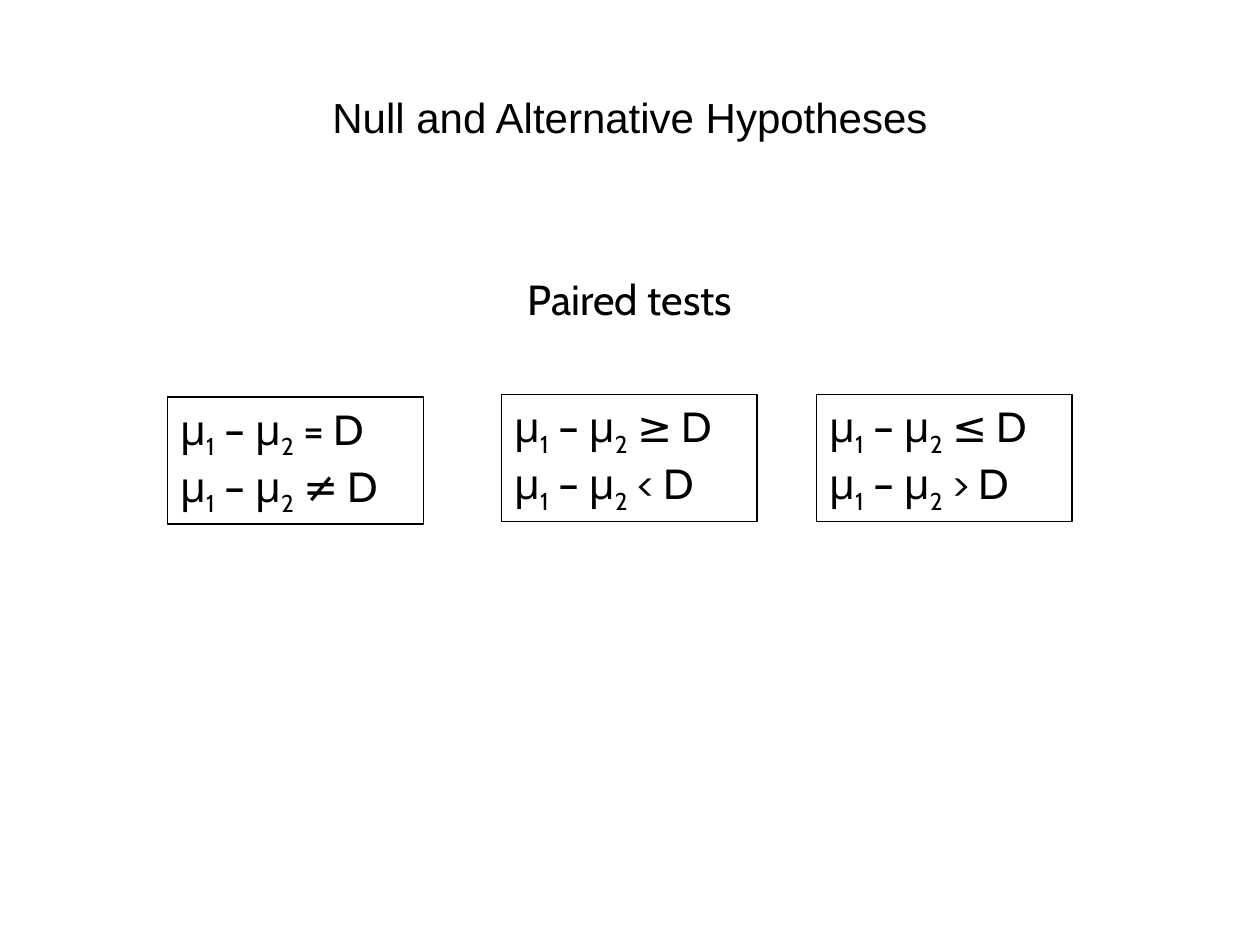
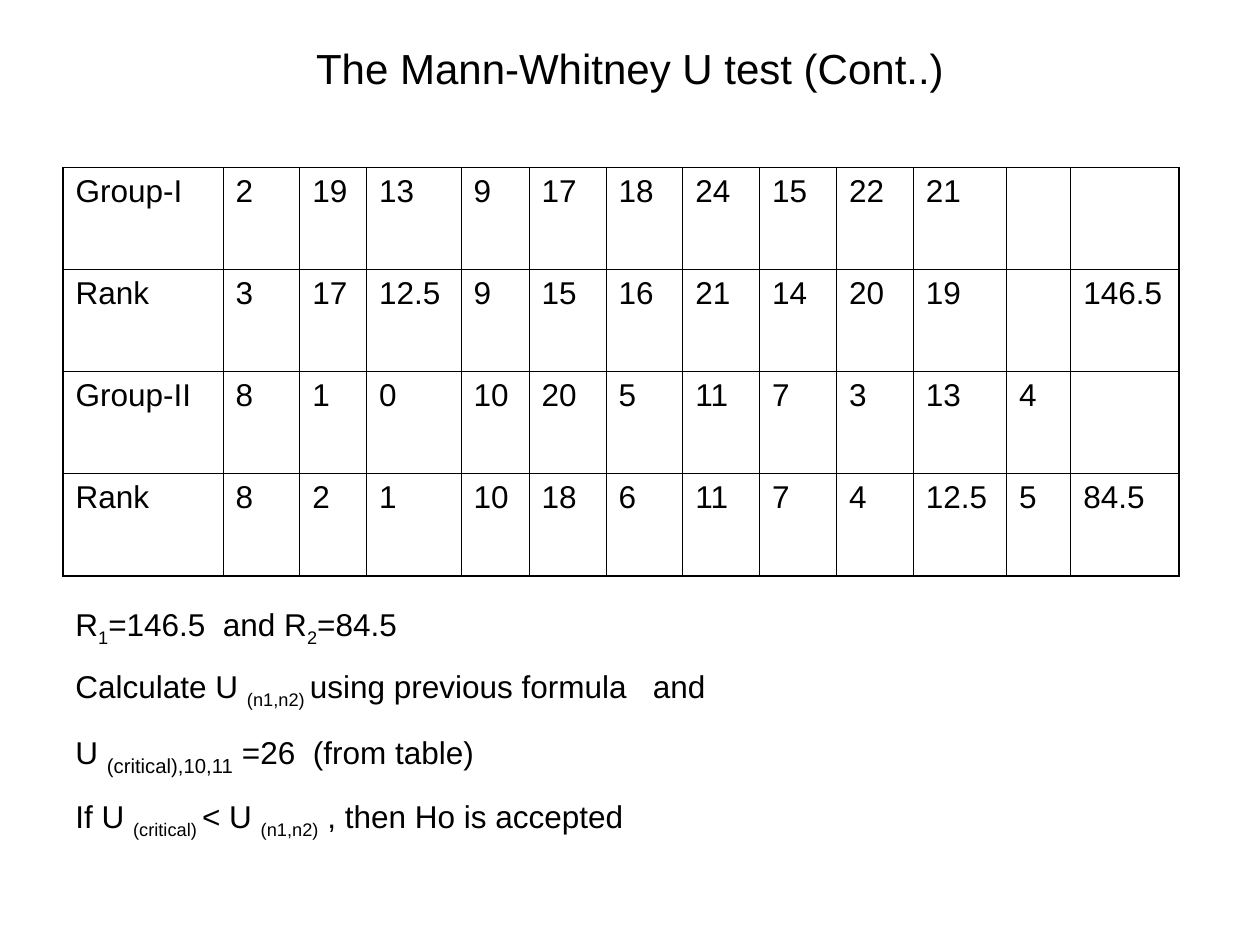
from dataclasses import dataclass

from lxml import etree
from pptx import Presentation
from pptx.dml.color import RGBColor
from pptx.enum import shapes, text
from pptx.oxml import ns
from pptx.util import Inches, Pt


@dataclass(frozen=True)
class Theme:
    ink: RGBColor = RGBColor(0, 0, 0)
    paper: RGBColor = RGBColor(255, 255, 255)
    main_font: str = "Arial"
    formula_font: str = "Cabin"
    large: int = 24
    body: int = 18
    box_line: float = 0.74
    grid_line: float = 0.45
    frame_line: float = 1.08


THEME = Theme()

# Content: text between bars is subscript
HYPOTHESES_TITLE = "Null and Alternative Hypotheses"
HYPOTHESES_SUBTITLE = "Paired tests"
HYPOTHESIS_PAIRS = [  # left, top, null sign, alternative sign
    (1.33, 3.15, "=", "≠"),
    (3.98, 3.13, "≥", "<"),
    (6.48, 3.13, "≤", ">"),
]

RANKS_TITLE = "The Mann-Whitney U test (Cont..)"
RANKS = [  # label, values, rank sum
    ("Group-I", [2, 19, 13, 9, 17, 18, 24, 15, 22, 21], ""),
    ("Rank", [3, 17, 12.5, 9, 15, 16, 21, 14, 20, 19], 146.5),
    ("Group-II", [8, 1, 0, 10, 20, 5, 11, 7, 3, 13, 4], ""),
    ("Rank", [8, 2, 1, 10, 18, 6, 11, 7, 4, 12.5, 5], 84.5),
]
COLUMN_WIDTHS = [1.27, 0.61, 0.53, 0.75, 0.54] + [0.61] * 5 + [0.74, 0.51, 0.86]
ROW_HEIGHT = 0.81
CONCLUSIONS = [  # line, subscript size
    ("R|1|=146.5  and R|2|=84.5", THEME.body),
    ("Calculate U |(n1,n2) |using previous formula   and", THEME.body),
    ("U |(critical),10,11| =26  (from table)", 20),
    ("If U |(critical) |< U |(n1,n2)| , then Ho is accepted", THEME.body),
]


def write(paragraph, line, font=THEME.main_font, size=THEME.body, subscript_size=None,
          align=text.PP_ALIGN.LEFT, before=0):
    """Write one line, lowering every second piece between bars."""
    paragraph.alignment = align
    paragraph.space_before = Pt(before)
    for index, piece in enumerate(line.split("|")):
        run = paragraph.add_run()
        run.text = piece
        run.font.name = font
        run.font.size = Pt(size)
        run.font.color.rgb = THEME.ink
        if index % 2:
            run.font.size = Pt(subscript_size or size)
            run._r.get_or_add_rPr().set("baseline", "-25000")


def write_lines(frame, lines, **style):
    for index, line in enumerate(lines):
        paragraph = frame.add_paragraph() if index else frame.paragraphs[0]
        write(paragraph, line, **style)


def add_titled_slide(presentation, title, height):
    slide = presentation.slides.add_slide(presentation.slide_layouts[5])
    shape = slide.shapes.title
    shape.left, shape.top = Inches(0.5), Inches(0.3)
    shape.width, shape.height = Inches(9), Inches(height)
    frame = shape.text_frame
    frame.auto_size = text.MSO_AUTO_SIZE.NONE
    frame.vertical_anchor = text.MSO_ANCHOR.MIDDLE
    write(frame.paragraphs[0], title, size=THEME.large, align=text.PP_ALIGN.CENTER)
    return slide


def add_text_box(slide, left, top, width, height):
    frame = slide.shapes.add_textbox(
        Inches(left), Inches(top), Inches(width), Inches(height)).text_frame
    frame.word_wrap = True
    return frame


def add_hypothesis_box(slide, left, top, signs):
    shape = slide.shapes.add_shape(
        shapes.MSO_SHAPE.RECTANGLE, Inches(left), Inches(top), Inches(2.03), Inches(1.01))
    shape.shadow.inherit = False
    shape.fill.solid()
    shape.fill.fore_color.rgb = THEME.paper
    shape.line.color.rgb = THEME.ink
    shape.line.width = Pt(THEME.box_line)
    frame = shape.text_frame
    frame.word_wrap = True
    frame.auto_size = text.MSO_AUTO_SIZE.SHAPE_TO_FIT_TEXT
    frame.vertical_anchor = text.MSO_ANCHOR.TOP
    write_lines(frame, [f"μ|1| – μ|2| {sign} D" for sign in signs],
                font=THEME.formula_font, size=THEME.large)


def set_borders(cell, widths):
    """Draw borders in the order left, right, top, bottom."""
    properties = cell._tc.get_or_add_tcPr()
    for index, (side, width) in enumerate(zip("LRTB", widths)):
        line = etree.Element(ns.qn(f"a:ln{side}"), w=str(int(Pt(width))))
        fill = etree.SubElement(line, ns.qn("a:solidFill"))
        etree.SubElement(fill, ns.qn("a:srgbClr"), val=str(THEME.ink))
        properties.insert(index, line)


def add_rank_table(slide, left, top):
    row_count, column_count = len(RANKS), len(COLUMN_WIDTHS)
    table = slide.shapes.add_table(
        row_count, column_count, Inches(left), Inches(top),
        Inches(sum(COLUMN_WIDTHS)), Inches(ROW_HEIGHT * row_count)).table
    table.first_row = table.horz_banding = False
    for column, width in zip(table.columns, COLUMN_WIDTHS):
        column.width = Inches(width)
    for row_index, (label, values, total) in enumerate(RANKS):
        table.rows[row_index].height = Inches(ROW_HEIGHT)
        blanks = [""] * (column_count - 2 - len(values))
        for column_index, value in enumerate([label, *values, *blanks, total]):
            cell = table.cell(row_index, column_index)
            cell.fill.background()
            if value != "":
                write(cell.text_frame.paragraphs[0], str(value), before=4.5)
            on_frame = (column_index == 0, column_index == column_count - 1,
                        row_index == 0, row_index == row_count - 1)
            set_borders(cell, [THEME.frame_line if outer else THEME.grid_line
                               for outer in on_frame])


presentation = Presentation()
presentation.slide_width, presentation.slide_height = Inches(10), Inches(7.5)

# Hypotheses slide
slide = add_titled_slide(presentation, HYPOTHESES_TITLE, height=1.25)
frame = add_text_box(slide, 0.5, 1.75, 9, 4.95)
frame.margin_top = Inches(0.42)
write(frame.paragraphs[0], HYPOTHESES_SUBTITLE, font=THEME.formula_font,
      size=THEME.large, align=text.PP_ALIGN.CENTER)
for left, top, *signs in HYPOTHESIS_PAIRS:
    add_hypothesis_box(slide, left, top, signs)

# Rank test slide
slide = add_titled_slide(presentation, RANKS_TITLE, height=0.48)
add_rank_table(slide, 0.5, 1.33)
frame = add_text_box(slide, 0.5, 4.75, 8.83, 2.43)
for index, (line, subscript_size) in enumerate(CONCLUSIONS):
    paragraph = frame.add_paragraph() if index else frame.paragraphs[0]
    write(paragraph, line, subscript_size=subscript_size, before=11.2)

presentation.save("out.pptx")
